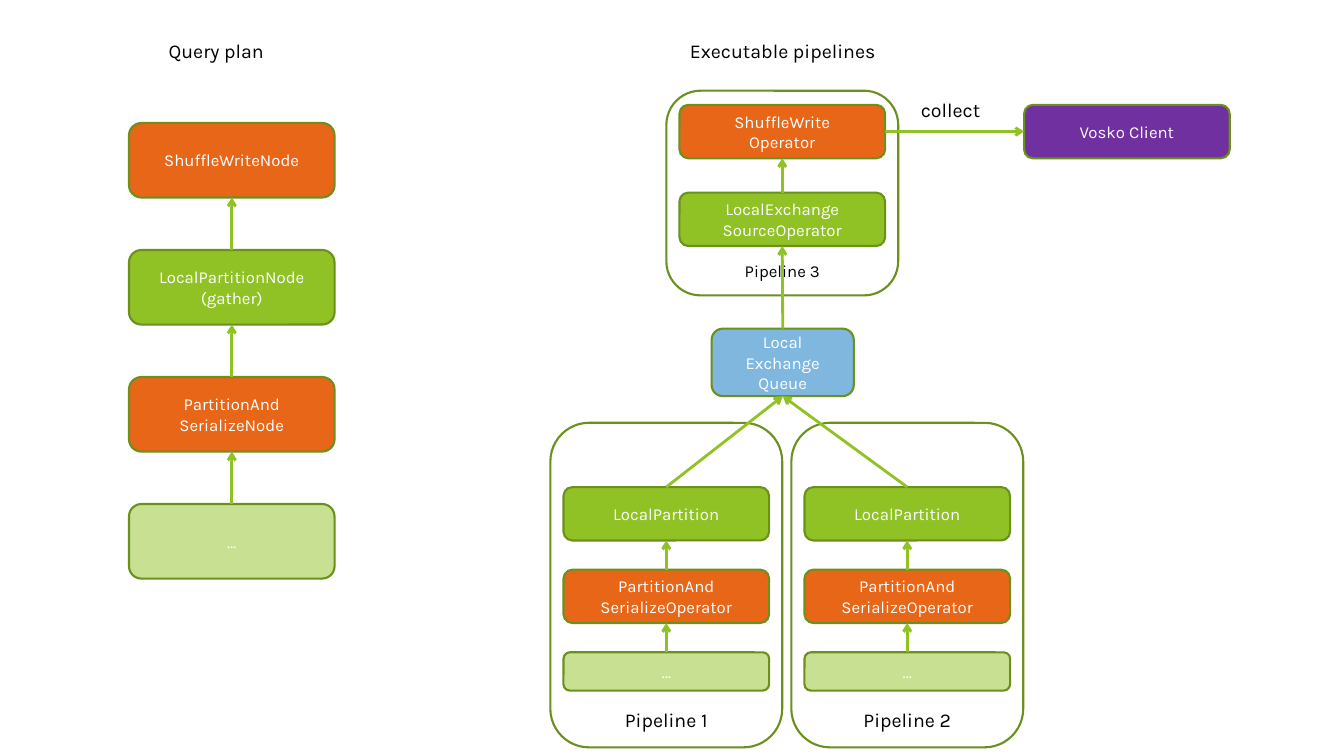
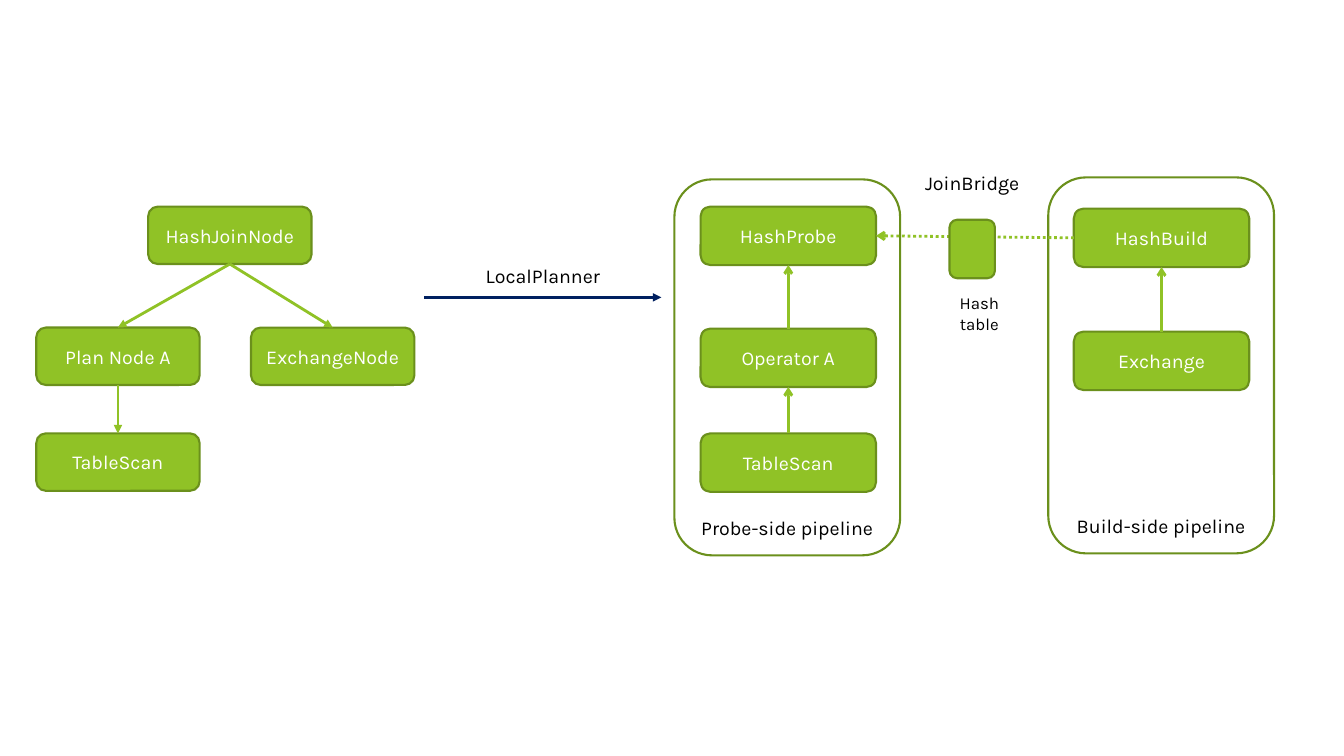
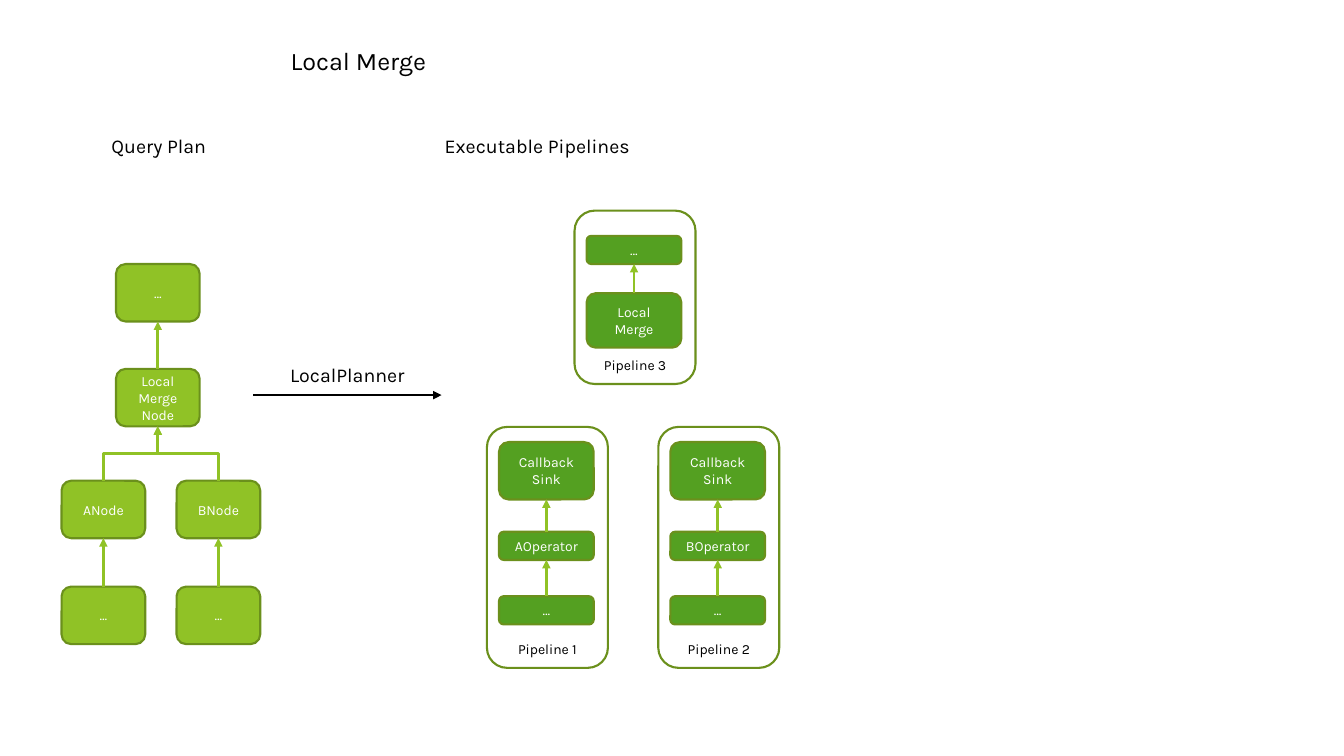
from dataclasses import dataclass
from typing import NamedTuple

from lxml.etree import SubElement
from pptx import Presentation
from pptx.dml.color import RGBColor
from pptx.enum.dml import MSO_LINE_DASH_STYLE as Dash, MSO_PATTERN_TYPE as Pattern
from pptx.enum.shapes import MSO_CONNECTOR_TYPE as Link, MSO_SHAPE as Preset
from pptx.enum.text import MSO_ANCHOR as Anchor, MSO_AUTO_SIZE as AutoSize, PP_ALIGN as Align
from pptx.oxml.ns import qn
from pptx.util import Inches, Pt

TOP, LEFT, BOTTOM, RIGHT = range(4)


@dataclass(frozen=True)
class Theme:
    font: str = "Karla"
    ink: str = "000000"
    paper: str = "FFFFFF"
    lime: str = "90C226"
    leaf: str = "54A021"
    outline: str = "6B901C"
    orange: str = "E76618"
    blue: str = "0070C0"
    purple: str = "7030A0"
    navy: str = "002060"
    title: int = 18
    heading: int = 14
    body: int = 12
    small: int = 10
    border: float = 1.5
    arrow: float = 2


THEME = Theme()
FADED_LIME, FADED_BLUE = (THEME.lime, 50), (THEME.blue, 50)


class Box(NamedTuple):
    """A rectangle in inches."""
    left: float
    top: float
    width: float
    height: float

    def inner(self, left, top, width, height):
        """A box inside this one, given in percent of its size."""
        return Box(self.left + self.width * left / 100, self.top + self.height * top / 100,
                   self.width * width / 100, self.height * height / 100)

    def lengths(self):
        return [Inches(value) for value in self]


PAGE = Box(0, 0, 13.33, 7.5)


def rgb(color):
    return RGBColor.from_string(color)


# Basic parts

def write(text_frame, text, size, color, anchor):
    frame_format = {"text": text, "word_wrap": True, "vertical_anchor": anchor}
    for name, value in frame_format.items():
        setattr(text_frame, name, value)
    for paragraph in text_frame.paragraphs:
        paragraph.alignment = Align.CENTER
        for run in paragraph.runs:
            for name, value in {"name": THEME.font, "size": Pt(size)}.items():
                setattr(run.font, name, value)
            run.font.color.rgb = rgb(color)


def rounded(slide, box, text="", fill=None, size=THEME.body, color=THEME.paper,
            anchor=Anchor.MIDDLE):
    """Outlined rounded box; fill is None, a colour or (colour, opacity percent)."""
    shape = slide.shapes.add_shape(Preset.ROUNDED_RECTANGLE, *box.lengths())
    shape.shadow.inherit = False
    shape.line.color.rgb = rgb(THEME.outline)
    shape.line.width = Pt(THEME.border)
    if fill is None:
        shape.fill.background()
    else:
        base, opacity = fill if isinstance(fill, tuple) else (fill, 100)
        shape.fill.solid()
        shape.fill.fore_color.rgb = rgb(base)
        if opacity < 100:
            color_node = shape._element.spPr.find(qn("a:solidFill"))[0]
            SubElement(color_node, qn("a:alpha")).set("val", str(opacity * 1000))
    if text:
        write(shape.text_frame, text, size, color, anchor)
    return shape


def label(slide, box, text, size=THEME.heading):
    text_box = slide.shapes.add_textbox(*box.lengths())
    write(text_box.text_frame, text, size, THEME.ink, Anchor.TOP)
    text_box.text_frame.auto_size = AutoSize.SHAPE_TO_FIT_TEXT


def style_arrow(connector, tip, color=THEME.lime, dash=None):
    connector.line.color.rgb = rgb(color)
    connector.line.width = Pt(THEME.arrow)
    if dash:
        connector.line.dash_style = dash
    SubElement(connector.get_or_add_ln(), qn("a:tailEnd")).set("type", tip)
    SubElement(connector._element.spPr, qn("a:effectLst"))


def join(slide, start, start_side, end, end_side, tip="arrow", dash=None):
    """Straight arrow between the sides of two boxes."""
    connector = slide.shapes.add_connector(Link.STRAIGHT, 0, 0, 0, 0)
    connector.begin_connect(start, start_side)
    connector.end_connect(end, end_side)
    style_arrow(connector, tip, dash=dash)


def elbow_up(slide, child, parent):
    """Bent arrow from the top of child to the bottom of parent."""
    start_x, end_x = child.left + child.width // 2, parent.left + parent.width // 2
    start_y, end_y = child.top, parent.top + parent.height
    rise, run = abs(start_y - end_y), abs(end_x - start_x)
    left, top = (start_x + end_x - rise) // 2, (start_y + end_y - run) // 2
    connector = slide.shapes.add_connector(Link.ELBOW, left, top, left + rise, top + run)
    transform = connector._element.spPr.find(qn("a:xfrm"))
    transform.set("rot", str(270 * 60000))
    if end_x < start_x:
        transform.set("flipV", "1")
    style_arrow(connector, "triangle")


# Regions

def stack(slide, box, rows, tip="arrow", size=THEME.body, upward=True):
    """Joined column of boxes; a row is (text, fill, height, gap below) in parts."""
    total = sum(height + gap for _, _, height, gap in rows)
    shapes, offset = [], 0
    for text, fill, height, gap in rows:
        place = box.inner(0, 100 * offset / total, 100, 100 * height / total)
        shapes.append(rounded(slide, place, text, fill, size))
        offset += height + gap
    for upper, lower in zip(shapes, shapes[1:]):
        if upward:
            join(slide, lower, TOP, upper, BOTTOM, tip)
        else:
            join(slide, upper, BOTTOM, lower, TOP, tip)
    return shapes


def pipeline(slide, frame, name, area, rows, name_size=THEME.heading, fill=None, **options):
    """Framed stack with its name at the bottom; area is in percent of the frame."""
    rounded(slide, frame, name, fill, name_size, THEME.ink, Anchor.BOTTOM)
    return stack(slide, frame.inner(*area), rows, **options)


def planner_arrow(slide, box, color):
    """Arrow along the bottom of the box under its label."""
    label(slide, box, "LocalPlanner")
    left, top, width, height = box.lengths()
    connector = slide.shapes.add_connector(Link.STRAIGHT, left, top + height,
                                           left + width, top + height)
    style_arrow(connector, "triangle", color)


def hash_join_plan(slide, box):
    join_node = rounded(slide, box.inner(29.6, 0, 43.2, 20.2), "HashJoinNode",
                        THEME.lime, THEME.heading)
    left_branch = stack(slide, box.inner(0, 42.55, 43.2, 57.45),
                        [("Plan Node A", THEME.lime, 57, 48), ("TableScan", THEME.lime, 57, 0)],
                        "triangle", THEME.heading, upward=False)
    exchange = rounded(slide, box.inner(56.8, 42.55, 43.2, 20.2), "ExchangeNode",
                       THEME.lime, THEME.heading)
    for child in (left_branch[0], exchange):
        join(slide, join_node, BOTTOM, child, TOP, "triangle")


def merge_plan(slide, box):
    options = {"tip": "triangle", "size": THEME.small}
    root = stack(slide, box.inner(27.4, 0, 42.1, 42.7),
                 [("…", THEME.lime, 57, 47), ("Local Merge Node", THEME.lime, 57, 0)], **options)
    for name, left in (("ANode", 0), ("BNode", 57.9)):
        branch = stack(slide, box.inner(left, 57, 42.1, 43),
                       [(name, THEME.lime, 57, 48), ("…", THEME.lime, 57, 0)], **options)
        elbow_up(slide, branch[0], root[-1])


# Slides

def shuffle_slide(slide):
    label(slide, PAGE.inner(9.6, 4.53, 12.98, 4.53), "Query plan")
    label(slide, PAGE.inner(47.78, 4.53, 20.93, 4.53), "Executable pipelines")
    stack(slide, PAGE.inner(9.6, 16.27, 15.3, 60.27), [
        ("ShuffleWriteNode", THEME.orange, 74, 52),
        ("LocalPartitionNode\n(gather)", THEME.lime, 74, 52),
        ("PartitionAnd\nSerializeNode", THEME.orange, 74, 52),
        ("…", FADED_LIME, 74, 0)])

    # Writing pipeline and its client
    writer, source = pipeline(
        slide, PAGE.inner(49.58, 12, 17.25, 27.07), "Pipeline 3", (5.65, 6.9, 88.7, 69),
        [("ShuffleWrite\nOperator", THEME.orange, 53, 34),
         ("LocalExchange\nSourceOperator", THEME.lime, 53, 0)], THEME.body)
    client = rounded(slide, PAGE.inner(76.2, 13.87, 15.3, 7.07), "Vosko Client", THEME.purple)
    join(slide, writer, RIGHT, client, LEFT)
    label(slide, PAGE.inner(63.53, 12.27, 14.4, 4.53), "collect")

    # Queue fed by two pipelines
    queue = rounded(slide, PAGE.inner(52.95, 43.47, 10.58, 8.93), "Local\nExchange\nQueue",
                    FADED_BLUE)
    join(slide, queue, TOP, source, BOTTOM)
    for name, left in (("Pipeline 1", 40.95), ("Pipeline 2", 58.88)):
        partition = pipeline(
            slide, PAGE.inner(left, 55.93, 17.25, 42.93), name, (5.65, 19.8, 88.7, 62.7),
            [("LocalPartition", THEME.lime, 53, 29),
             ("PartitionAnd\nSerializeOperator", THEME.orange, 53, 29),
             ("…", FADED_LIME, 38, 0)])[0]
        join(slide, partition, TOP, queue, BOTTOM)


def hash_join_slide(slide):
    hash_join_plan(slide, PAGE.inner(2.7, 27.33, 28.13, 37.6))
    planner_arrow(slide, PAGE.inner(31.58, 34.27, 17.63, 5.07), THEME.navy)
    probe = pipeline(
        slide, PAGE.inner(50.18, 23.73, 16.8, 49.73), "Probe-side pipeline",
        (11.6, 7.24, 77.7, 75.87),
        [("HashProbe", THEME.lime, 58, 63), ("Operator A", THEME.lime, 58, 46),
         ("TableScan", THEME.lime, 58, 0)], size=THEME.heading)[0]
    build = pipeline(
        slide, PAGE.inner(78, 23.47, 16.8, 49.73), "Build-side pipeline",
        (11.3, 8.3, 77.7, 48.26),
        [("HashBuild", THEME.lime, 58, 64), ("Exchange", THEME.lime, 58, 0)],
        size=THEME.heading)[0]

    # Bridge with the hash table
    join(slide, build, LEFT, probe, RIGHT, dash=Dash.ROUND_DOT)
    label(slide, PAGE.inner(65.85, 22, 12.98, 4.53), "JoinBridge")
    hash_table = rounded(slide, PAGE.inner(70.65, 29.07, 3.38, 7.73))
    hash_table.fill.patterned()
    hash_table.fill.pattern = Pattern.DARK_HORIZONTAL
    hash_table.fill.fore_color.rgb = rgb(THEME.lime)
    hash_table.fill.back_color.rgb = rgb(THEME.paper)
    label(slide, PAGE.inner(69.08, 38.13, 7.58, 4), "Hash table", THEME.body)


def local_merge_slide(slide):
    title = slide.shapes.title
    place = PAGE.inner(16.73, 5.33, 19.88, 5.33).lengths()
    for name, value in zip(("left", "top", "width", "height"), place):
        setattr(title, name, value)
    write(title.text_frame, "Local Merge", THEME.title, THEME.ink, Anchor.TOP)
    label(slide, PAGE.inner(5.33, 17.07, 12.98, 4.53), "Query Plan")
    label(slide, PAGE.inner(32.03, 17.07, 15.9, 4.53), "Executable Pipelines")
    merge_plan(slide, PAGE.inner(4.58, 34.93, 14.78, 50.27))
    planner_arrow(slide, PAGE.inner(18.83, 47.33, 14.03, 4.93), THEME.ink)

    # Pipelines
    options = {"name_size": THEME.small, "fill": THEME.paper, "size": THEME.small,
               "tip": "triangle"}
    pipeline(slide, PAGE.inner(42.75, 27.87, 9, 22.93), "Pipeline 3", (10, 14.5, 78.3, 64.5),
             [("…", THEME.leaf, 28, 29), ("Local\nMerge", THEME.leaf, 54, 0)], **options)
    for name, operator, left in (("Pipeline 1", "AOperator", 36.23),
                                 ("Pipeline 2", "BOperator", 48.98)):
        pipeline(slide, PAGE.inner(left, 56.47, 9, 31.87), name, (10, 6.28, 78.3, 75.7),
                 [("Callback\nSink", THEME.leaf, 57, 32), (operator, THEME.leaf, 28, 36),
                  ("…", THEME.leaf, 28, 0)], **options)


def main():
    presentation = Presentation()
    presentation.slide_width, presentation.slide_height = PAGE.lengths()[2:]
    title_only, blank = presentation.slide_layouts[5], presentation.slide_layouts[6]
    for layout, build in ((blank, shuffle_slide), (blank, hash_join_slide),
                          (title_only, local_merge_slide)):
        build(presentation.slides.add_slide(layout))
    presentation.save("out.pptx")


if __name__ == "__main__":
    main()
